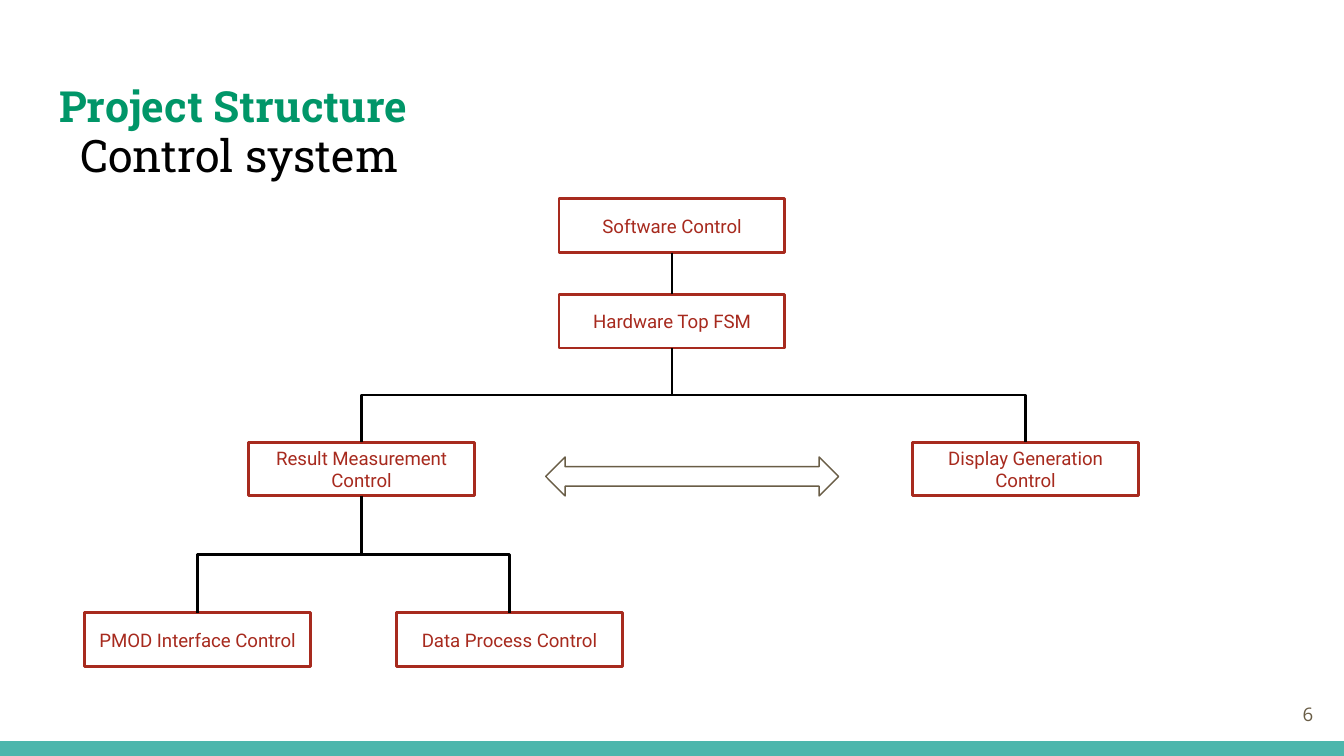
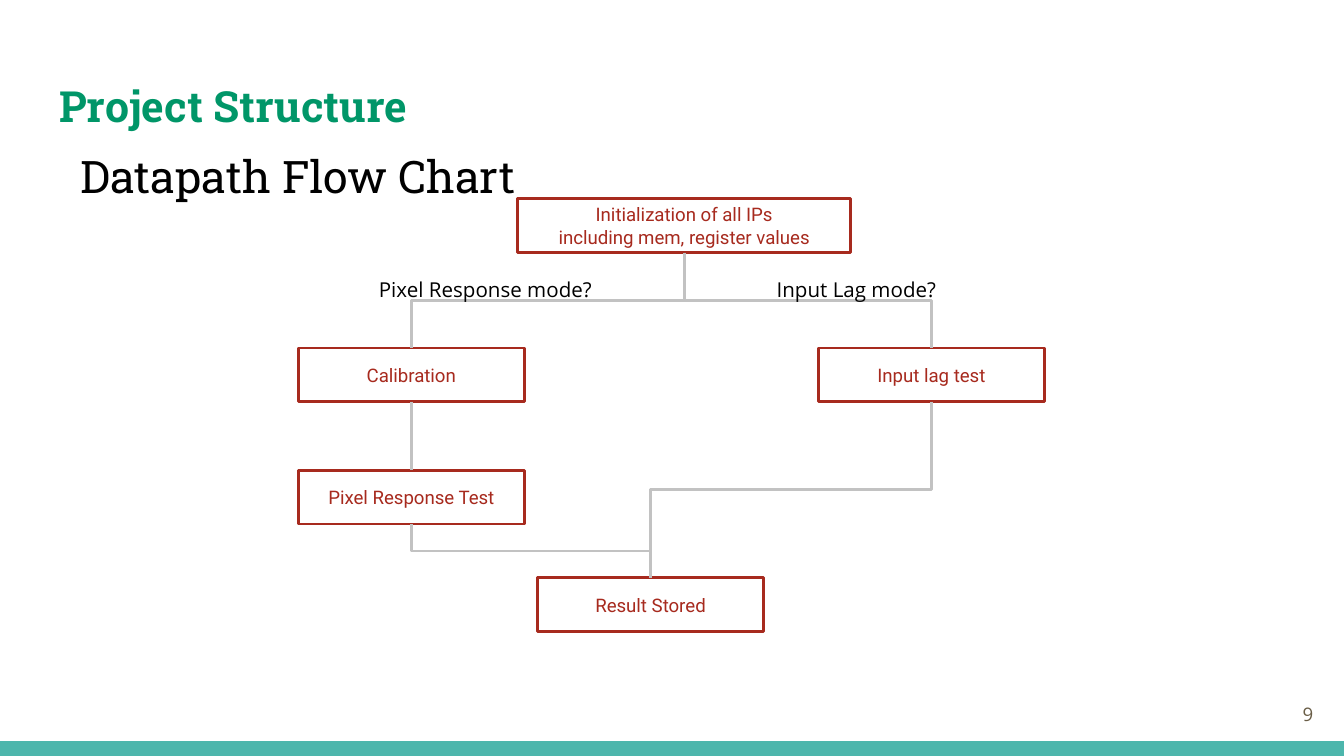
from lxml import etree
from pptx import Presentation
from pptx.dml.color import RGBColor
from pptx.enum.shapes import MSO_CONNECTOR, MSO_SHAPE
from pptx.enum.text import MSO_ANCHOR, MSO_AUTO_SIZE, PP_ALIGN
from pptx.oxml.ns import qn
from pptx.util import Inches, Pt

ELBOW = MSO_CONNECTOR.ELBOW
RECTANGLE = MSO_SHAPE.RECTANGLE
DOUBLE_ARROW = MSO_SHAPE.LEFT_RIGHT_ARROW
TOP, MIDDLE = MSO_ANCHOR.TOP, MSO_ANCHOR.MIDDLE
LEFT, CENTER, RIGHT = PP_ALIGN.LEFT, PP_ALIGN.CENTER, PP_ALIGN.RIGHT
NO_AUTOFIT = MSO_AUTO_SIZE.NONE

GREEN = RGBColor(0x00, 0x96, 0x68)
TEAL = RGBColor(0x4D, 0xB6, 0xAC)
RED = RGBColor(0xA7, 0x2A, 0x1E)
BROWN = RGBColor(0x69, 0x5D, 0x46)
GRAY = RGBColor(0xC2, 0xC2, 0xC2)
BLACK = RGBColor(0x00, 0x00, 0x00)

HEADING_FONT = "Roboto Slab"
BOX_FONT = "Roboto"
BODY_FONT = "Open Sans"

SLIDE_WIDTH = Inches(10)
SLIDE_HEIGHT = SLIDE_WIDTH * 9 // 16
BOX_WIDTH, BOX_HEIGHT = 1.68, 0.4
BOTTOM_SITE, TOP_SITE = 2, 0


def write_text(shape, text, font_name, size, color, align=LEFT, anchor=TOP, bold=False):
    """Fill a shape with text in one uniform style."""
    frame = shape.text_frame
    frame.text = text
    frame.word_wrap = True
    frame.auto_size = NO_AUTOFIT
    frame.vertical_anchor = anchor
    frame.margin_left = frame.margin_right = Inches(0.1)
    frame.margin_top = frame.margin_bottom = Inches(0.1)
    for paragraph in frame.paragraphs:
        paragraph.alignment = align
        for run in paragraph.runs:
            run.font.name = font_name
            run.font.size = Pt(size)
            run.font.bold = bold
            run.font.color.rgb = color


def add_text(slide, left, top, width, height, text, *style, **options):
    """Add a styled text box."""
    shape = slide.shapes.add_textbox(Inches(left), Inches(top), Inches(width), Inches(height))
    write_text(shape, text, *style, **options)
    return shape


def add_outline(slide, kind, left, top, width, height, color, weight):
    """Add an unfilled shape with a coloured outline."""
    shape = slide.shapes.add_shape(kind, Inches(left), Inches(top), Inches(width), Inches(height))
    shape.shadow.inherit = False
    shape.fill.background()
    shape.line.color.rgb = color
    shape.line.width = Pt(weight)
    return shape


def add_box(slide, center, top, text, width=BOX_WIDTH):
    """Add a flow box centred on a horizontal position."""
    box = add_outline(slide, RECTANGLE, center - width / 2, top, width, BOX_HEIGHT, RED, 1.5)
    write_text(box, text, BOX_FONT, 10, RED, CENTER, MIDDLE)
    return box


def link(slide, parent, child, color):
    """Join the bottom of one box to the top of another by a vertical elbow."""
    start_x, start_y = parent.left + parent.width // 2, parent.top + parent.height
    end_x, end_y = child.left + child.width // 2, child.top
    run, drop = end_x - start_x, end_y - start_y
    connector = slide.shapes.add_connector(ELBOW, start_x, start_y, end_x, end_y)
    connector.begin_connect(parent, BOTTOM_SITE)
    connector.end_connect(child, TOP_SITE)
    connector.left = (start_x + end_x - drop) // 2
    connector.top = (start_y + end_y - abs(run)) // 2
    connector.width, connector.height = drop, abs(run)
    properties = connector.element.spPr
    properties.xfrm.flipH = run > 0
    properties.xfrm.rot = 270 if run > 0 else 90
    connector.line.color.rgb = color
    connector.line.width = Pt(1.5)
    etree.SubElement(properties, qn("a:effectLst"))


def start_slide(presentation, subtitle, subtitle_top, number):
    """Add a slide with the shared band, title, subtitle and page number."""
    slide = presentation.slides.add_slide(presentation.slide_layouts[5])
    band_height = Inches(0.11)
    band = slide.shapes.add_shape(
        RECTANGLE, 0, SLIDE_HEIGHT - band_height, SLIDE_WIDTH, band_height
    )
    band.shadow.inherit = False
    band.fill.solid()
    band.fill.fore_color.rgb = TEAL
    band.line.fill.background()
    title = slide.shapes.title
    title.left, title.top = Inches(0.34), Inches(0.49)
    title.width, title.height = Inches(9.32), Inches(0.77)
    write_text(title, "Project Structure", HEADING_FONT, 23, GREEN, bold=True)
    heading = add_text(slide, 0, subtitle_top, 6.59, 0.77, subtitle, HEADING_FONT, 24, BLACK)
    indent = heading.text_frame.paragraphs[0]._p.get_or_add_pPr()
    indent.set("marL", str(Inches(0.5)))
    add_text(slide, 9.27, 5.1, 0.6, 0.43, number, BODY_FONT, 10, BROWN, RIGHT, MIDDLE)
    return slide


def build_control_system(presentation):
    """Build the control hierarchy."""
    slide = start_slide(presentation, "Control system", 0.85, "6")
    software = add_box(slide, 5, 1.48, "Software Control")
    hardware = add_box(slide, 5, 2.19, "Hardware Top FSM")
    display = add_box(slide, 7.63, 3.29, "Display Generation Control")
    result = add_box(slide, 2.69, 3.29, "Result Measurement Control")
    interface = add_box(slide, 1.47, 4.56, "PMOD Interface Control")
    process = add_box(slide, 3.79, 4.56, "Data Process Control")
    for parent, child in (
        (software, hardware),
        (hardware, display),
        (hardware, result),
        (result, interface),
        (result, process),
    ):
        link(slide, parent, child, BLACK)
    add_outline(slide, DOUBLE_ARROW, 4.06, 3.4, 2.18, 0.29, BROWN, 0.75)


def build_datapath(presentation):
    """Build the datapath flow chart."""
    slide = start_slide(presentation, "Datapath Flow Chart", 1.01, "9")
    setup = add_box(
        slide, 5.09, 1.48, "Initialization of all IPs\nincluding mem, register values", 2.48
    )
    calibration = add_box(slide, 3.06, 2.59, "Calibration")
    lag_test = add_box(slide, 6.93, 2.59, "Input lag test")
    stored = add_box(slide, 4.84, 4.3, "Result Stored")
    pixel_test = add_box(slide, 3.06, 3.5, "Pixel Response Test")
    for parent, child in (
        (setup, lag_test),
        (setup, calibration),
        (lag_test, stored),
        (calibration, pixel_test),
        (pixel_test, stored),
    ):
        link(slide, parent, child, GRAY)
    for left, mode in ((2.72, "Pixel Response mode?"), (5.68, "Input Lag mode?")):
        add_text(slide, left, 1.96, 2.05, 0.24, mode, BODY_FONT, 11, BLACK)


def main():
    """Create and save the presentation."""
    presentation = Presentation()
    presentation.slide_width, presentation.slide_height = SLIDE_WIDTH, SLIDE_HEIGHT
    build_control_system(presentation)
    build_datapath(presentation)
    presentation.save("out.pptx")


if __name__ == "__main__":
    main()
